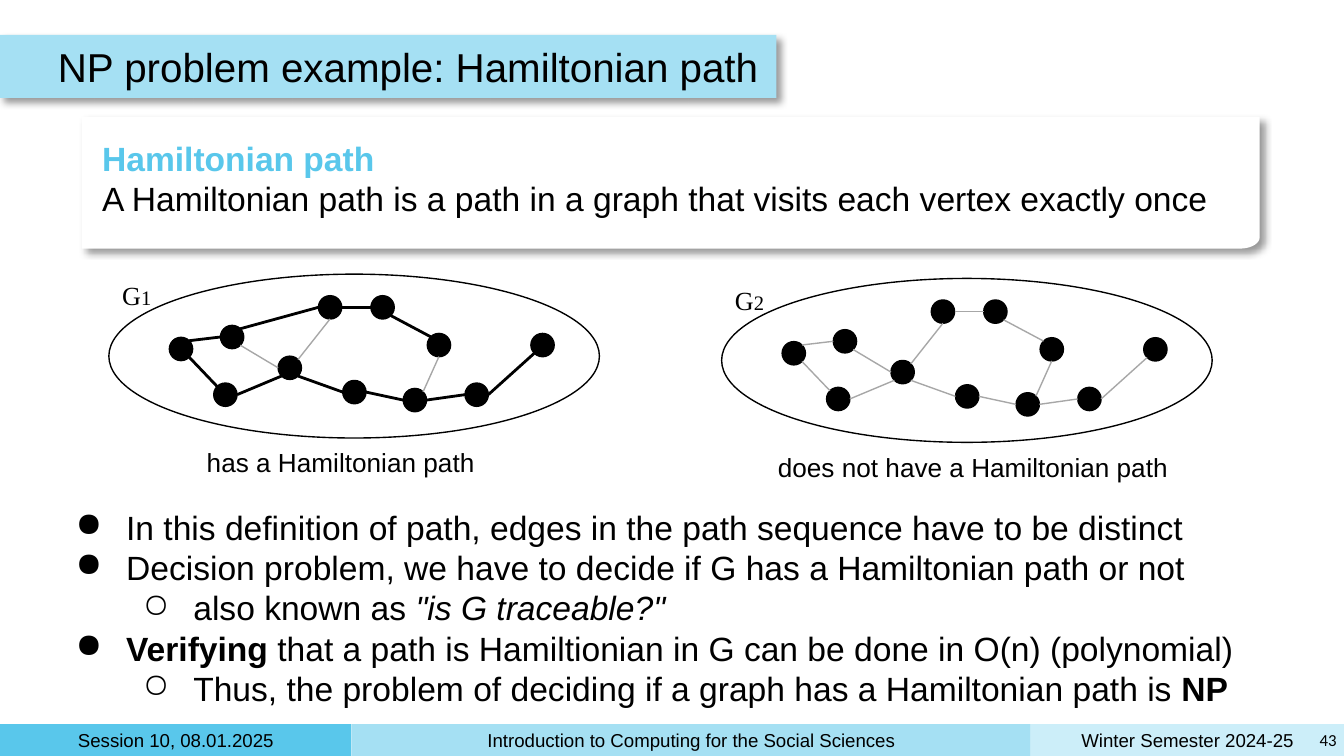
"""Build the lecture slide on Hamiltonian paths as an NP problem example."""
import math

import pptx
import pptx.dml.color
import pptx.enum.shapes
import pptx.enum.text
import pptx.oxml
import pptx.oxml.ns
import pptx.util

Pt = pptx.util.Pt
SHAPE = pptx.enum.shapes.MSO_SHAPE
ALIGN = pptx.enum.text.PP_ALIGN
ANCHOR = pptx.enum.text.MSO_ANCHOR

THEME = {
    "black": "000000", "white": "FFFFFF", "grey": "A7A7A7",
    "blue": "59C7EB", "light": "A5E0F3", "pale": "CCEEF9",
    "sans": "Arial", "serif": "Times New Roman", "number": "Calibri",
    "title": 21.6, "body": 18, "caption": 14, "index": 11, "footer": 10, "page": 9,
    "thin": 0.75, "thick": 1.5,
}

TITLE = "NP problem example: Hamiltonian path"
DEFINITION = [
    ("Hamiltonian path", {"bold": True, "color": "blue"}),
    ("A Hamiltonian path is a path in a graph that visits each vertex exactly once", {}),
]
BULLETS = [
    (0, [("In this definition of path, edges in the path sequence have to be distinct", {})]),
    (0, [("Decision problem, we have to decide if G has a Hamiltonian path or not", {})]),
    (1, [("also known as ", {}), ('"is G traceable?"', {"italic": True})]),
    (0, [("Verifying", {"bold": True}),
         (" that a path is Hamiltionian in G can be done in O(n) (polynomial)", {})]),
    (1, [("Thus, the problem of deciding if a graph has a Hamiltonian path is", {}),
         (" NP", {"bold": True})]),
]
FOOTER = [
    ("Session 10, 08.01.2025", "blue", 0, 188.2),
    ("Introduction to Computing for the Social Sciences", "light", 188.2, 364),
    ("Winter Semester 2024-25", "pale", 552.2, 167.8),
]
PAGE = "43"

VERTICES = [
    (32.4, 33.8), (59.8, 27.4), (56.2, 58.3), (112.3, 11.5), (140.4, 11.5), (170.6, 31.7),
    (90.7, 43.9), (125.3, 56.9), (157.7, 61.2), (190.8, 58.3), (226.1, 31.7),
]
PATH_EDGES = [
    (0, "ne", 1, "w"), (0, "se", 2, "nw"), (3, "e", 4, "w"), (6, "se", 7, "w"),
    (7, "e", 8, "w"), (8, "e", 9, "w"), (9, "e", 10, "sw"), (2, "e", 6, "sw"),
    (4, "se", 5, "nw"),
]
OTHER_EDGES = [(1, "se", 6, "w"), (8, "ne", 5, "s"), (6, "ne", 3, "s")]
CLOSING_EDGE = (1, "ne", 3, "w")
GRAPHS = [
    {"index": "1", "at": (58.3, 146.9), "path": PATH_EDGES + [CLOSING_EDGE],
     "other": OTHER_EDGES, "caption": ("has a Hamiltonian path", 45.4, 161.3)},
    {"index": "2", "at": (386.6, 149.2), "path": [],
     "other": PATH_EDGES + OTHER_EDGES,
     "caption": ("does not have a Hamiltonian path", 23, 234)},
]
GRAPH_SIZE = (262.8, 87.8)
DOT = 12.5
SITES = {"e": 0, "se": 45, "s": 90, "sw": 135, "w": 180, "nw": 225, "ne": 315}


def rgb(name):
    """Return the theme colour of that name."""
    return pptx.dml.color.RGBColor.from_string(THEME[name])


def add_effects(s, shadow=False):
    """Give a shape or connector a soft shadow, or an empty effect list."""
    body = ('<a:outerShdw blurRad="50800" dist="38100" dir="2700000" algn="bl" rotWithShape="0">'
            '<a:srgbClr val="000000"><a:alpha val="40000"/></a:srgbClr></a:outerShdw>')
    s._element.spPr.append(pptx.oxml.parse_xml(
        f'<a:effectLst {pptx.oxml.ns.nsdecls("a")}>{body if shadow else ""}</a:effectLst>'))


def style(s, fill=None, line=None, shadow=False):
    """Set the fill, outline and shadow of a shape."""
    if fill:
        s.fill.solid()
        s.fill.fore_color.rgb = rgb(fill)
    else:
        s.fill.background()
    if line:
        s.line.color.rgb = rgb(line)
        s.line.width = Pt(THEME["thin"])
    else:
        s.line.fill.background()
    add_effects(s, shadow)


def add_shape(shapes, kind, box, **look):
    """Add a preset shape in a box given in points."""
    style(shapes.add_shape(kind, *map(Pt, box)), **look)


def add_run(p, text, size, font="sans", color="black", **flags):
    """Add a formatted run to a paragraph."""
    r = p.add_run()
    r.text = text
    r.font.color.rgb = rgb(color)
    values = {"size": Pt(THEME[size]), "name": THEME[font], "bold": False, "italic": False}
    for name, value in {**values, **flags}.items():
        setattr(r.font, name, value)


def add_text(shapes, box, paragraphs, size, inset=3.6, anchor=ANCHOR.TOP, align=None, font="sans"):
    """Add a text box holding paragraphs of (text, format) runs."""
    tf = shapes.add_textbox(*map(Pt, box)).text_frame
    values = {"word_wrap": True, "vertical_anchor": anchor}
    values.update({f"margin_{side}": Pt(inset) for side in ("left", "right", "top", "bottom")})
    for name, value in values.items():
        setattr(tf, name, value)
    for i, runs in enumerate(paragraphs):
        p = tf.add_paragraph() if i else tf.paragraphs[0]
        p.alignment = align
        for text, look in runs:
            add_run(p, text, **{"size": size, "font": font, **look})
    return tf


def add_bullet(p, level):
    """Give a paragraph its indent and bullet for the level."""
    p.level = level
    pPr = p._p.get_or_add_pPr()
    pPr.set("marL", str(Pt(36 * (level + 1))))
    pPr.set("indent", str(-Pt(27)))
    ns = pptx.oxml.ns.nsdecls("a")
    for xml in (f'<a:buClr {ns}><a:srgbClr val="{THEME["black"]}"/></a:buClr>',
                f'<a:buChar {ns} char="{"●○"[level]}"/>'):
        pPr.append(pptx.oxml.parse_xml(xml))


def add_card(shapes, left, top, right, bottom, rx=10.5, ry=6):
    """Add the white card with a rounded lower right corner."""
    arc = [(right - rx + rx * math.cos(math.radians(a)), bottom - ry + ry * math.sin(math.radians(a)))
           for a in range(0, 91, 10)]
    builder = shapes.build_freeform(Pt(left), Pt(top))
    builder.add_line_segments([(Pt(x), Pt(y)) for x, y in [(right, top), *arc, (left, bottom)]])
    style(builder.convert_to_shape(), fill="white", shadow=True)


def add_graph(shapes, graph):
    """Draw one graph with its outline, vertices, edges, label and caption."""
    left, top = graph["at"]

    def site(vertex, side):
        angle = math.radians(SITES[side])
        x, y = VERTICES[vertex]
        return (Pt(left + x + DOT / 2 * (1 + math.cos(angle))),
                Pt(top + y + DOT / 2 * (1 + math.sin(angle))))

    add_shape(shapes, SHAPE.OVAL, (left, top, *GRAPH_SIZE), line="black")
    for x, y in VERTICES:
        add_shape(shapes, SHAPE.OVAL, (left + x, top + y, DOT, DOT), fill="black", line="black")
    for kind, color, width in (("path", "black", "thick"), ("other", "grey", "thin")):
        for a, side_a, b, side_b in graph[kind]:
            s = shapes.add_connector(pptx.enum.shapes.MSO_CONNECTOR.STRAIGHT,
                                     *site(a, side_a), *site(b, side_b))
            s.line.color.rgb = rgb(color)
            s.line.width = Pt(THEME[width])
            add_effects(s)
    label = [("G", {}), (graph["index"], {"size": "index"})]
    add_text(shapes, (left, top - 4.3, 32.4, 31.7), [label], "caption", 7.2, font="serif")
    text, dx, width = graph["caption"]
    add_text(shapes, (left + dx, top + 85.3, width, 31.7), [[(text, {})]], "caption", 7.2)


def main():
    """Assemble and save the slide."""
    prs = pptx.Presentation()
    prs.slide_width, prs.slide_height = Pt(720), Pt(405)
    shapes = prs.slides.add_slide(prs.slide_layouts[6]).shapes
    for text, fill, x, width in FOOTER:
        add_shape(shapes, SHAPE.RECTANGLE, (x, 388, width, 17), fill=fill)
        add_text(shapes, (x + 3.6, 389.7, width - 7.2, 13.6), [[(text, {})]], "footer",
                 anchor=ANCHOR.MIDDLE, align=ALIGN.CENTER)
    add_text(shapes, (702, 387.4, 17.6, 18), [[(PAGE, {})]], "page",
             anchor=ANCHOR.MIDDLE, align=ALIGN.RIGHT, font="number")
    add_shape(shapes, SHAPE.RECTANGLE, (0, 18.7, 416, 33.8), fill="light", shadow=True)
    add_text(shapes, (27.4, 18.7, 394.6, 33.8), [[(TITLE, {})]], "title", anchor=ANCHOR.MIDDLE)
    add_card(shapes, 43.9, 62.6, 674.8, 133.2)
    tf = add_text(shapes, (51.1, 67, 630, 54), [[run] for run in DEFINITION], "body")
    tf.paragraphs[0].line_spacing = 1.15
    for graph in GRAPHS:
        add_graph(shapes, graph)
    tf = add_text(shapes, (24.5, 264.2, 658, 123.8), [runs for _, runs in BULLETS], "body", 7.2)
    for p, (level, _) in zip(tf.paragraphs, BULLETS):
        add_bullet(p, level)
    prs.save("out.pptx")


if __name__ == "__main__":
    main()
